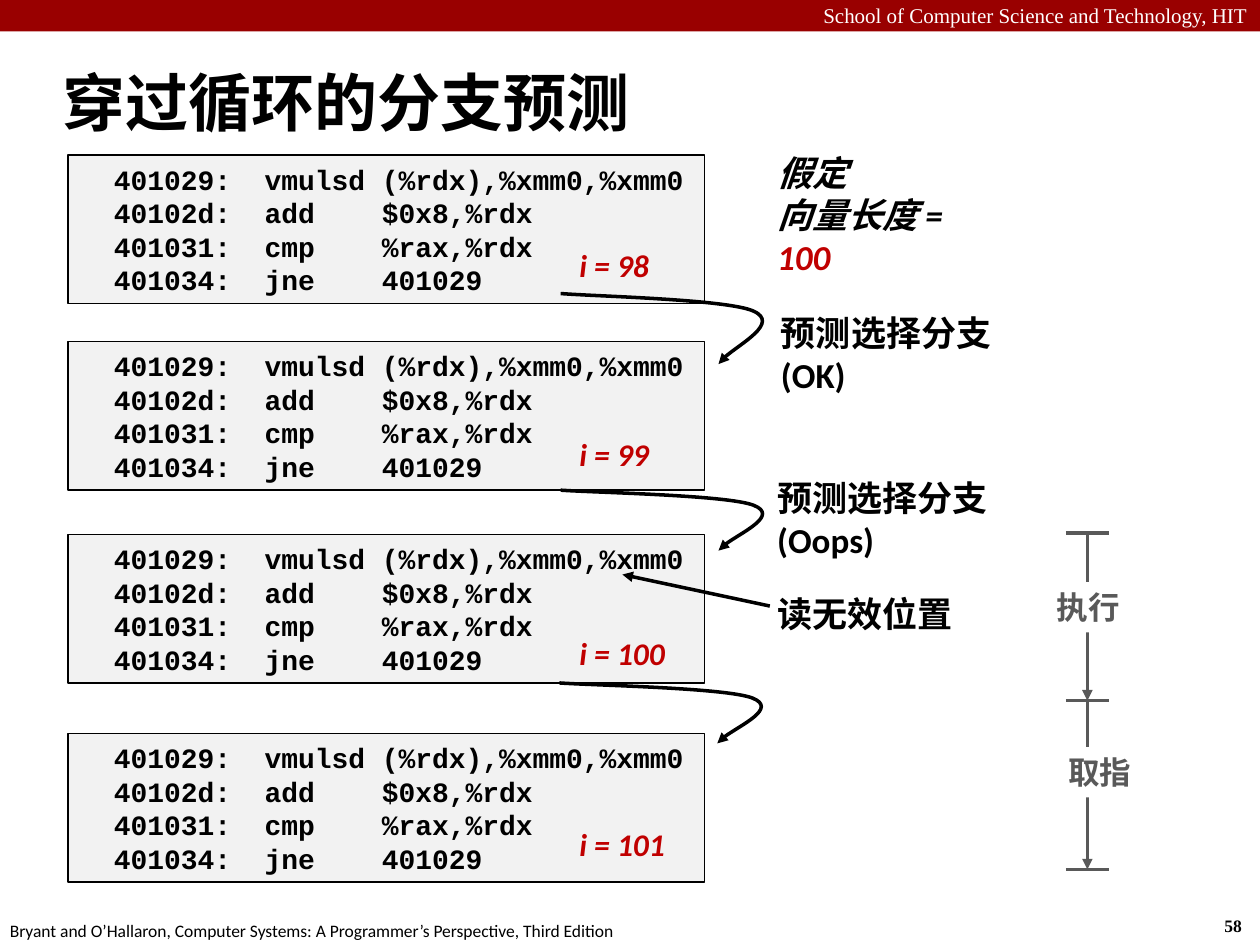
from lxml.etree import SubElement as Sub
from pptx import Presentation
from pptx.dml.color import RGBColor as RGB
from pptx.enum.shapes import MSO_CONNECTOR as CONN, MSO_SHAPE as SHAPE
from pptx.enum.text import MSO_ANCHOR as ANCHOR, PP_ALIGN as ALIGN
from pptx.oxml.ns import qn
from pptx.util import Inches, Pt

BLACK, WHITE = RGB(0, 0, 0), RGB(255, 255, 255)
MAROON, RED = RGB(0x99, 0, 0), RGB(0xC0, 0, 0)
PALE, GREY = RGB(0xF2, 0xF2, 0xF2), RGB(0x59, 0x59, 0x59)
CELL = Inches(0.1)
COLS, ROWS = 100, 75
SANS, SERIF, MONO = "Calibri", "Times New Roman", "Courier New"

CODE = """  401029:  vmulsd (%rdx),%xmm0,%xmm0
  40102d:  add    $0x8,%rdx
  401031:  cmp    %rax,%rdx
  401034:  jne    401029"""
LOOPS = [(12.3, 19, "i = 98"), (27.1, 34, "i = 99"),
         (42.4, 49.8, "i = 100"), (58.2, 65, "i = 101")]
JUMPS = [(44.5, 23.3, 5.6), (44.5, 38.9, 4.8), (44.4, 54.2, 4.8)]
BEND = [(0, 0), (0.15, 0.04), (0.76, 0.08), (0.88, 0.25),
        (1, 0.42), (0.75, 0.83), (0.72, 1)]
BEND_W = 17.4
AXIS = 86.3
TICKS = (42.3, 55.6, 69)
STAGES = [(82.9, 46.2, "执行"), (83.8, 59.3, "取指")]


def grid(*cells):
    """Turn grid cells into lengths."""
    return [int(n * CELL) for n in cells]


def write(shape, text, size, color=BLACK, face=SANS, bold=True,
          slant=False, align=ALIGN.LEFT, wrap=False):
    """Fill a shape with evenly styled text and return its paragraphs."""
    frame = shape.text_frame
    frame.text, frame.word_wrap = text, wrap
    for para in frame.paragraphs:
        para.alignment = align
        font = para.font
        font.name, font.size, font.bold = face, Pt(size), bold
        font.italic, font.color.rgb = slant, color
    return frame.paragraphs


def label(slide, at, text, size, **style):
    """Add a text box."""
    box = slide.shapes.add_textbox(*grid(*at))
    write(box, text, size, **style)
    return box


def note(slide, at, text, **style):
    """Add a remark that wraps ahead of its right edge."""
    box = label(slide, at, text, 20, wrap=True, **style)
    box.text_frame.margin_right = Inches(0.4)
    return box


def block(slide, at, fill, edge=None):
    """Add a flat rectangle."""
    rect = slide.shapes.add_shape(SHAPE.RECTANGLE, *grid(*at))
    rect.shadow.inherit = False
    rect.fill.solid()
    rect.fill.fore_color.rgb = fill
    if edge is None:
        rect.line.fill.background()
    else:
        rect.line.color.rgb, rect.line.width = edge, Pt(0.75)
    return rect


def stroke(shape, color, head):
    """Style a line, with an arrowhead at its end if asked."""
    shape.line.color.rgb, shape.line.width = color, Pt(2)
    if head:
        Sub(shape.line._get_or_add_ln(), qn("a:tailEnd"), type="triangle")


def rule(slide, ends, color=GREY, head=False):
    """Add a straight line."""
    line = slide.shapes.add_connector(CONN.STRAIGHT, *grid(*ends))
    stroke(line, color, head)
    Sub(line._element.spPr, qn("a:effectLst"))


def jump(slide, left, top, high):
    """Add a curved arrow from one loop pass to the next."""
    start, *rest = [tuple(grid(left + x * BEND_W, top + y * high))
                    for x, y in BEND]
    draft = slide.shapes.build_freeform(*start)
    draft.add_line_segments(rest, close=False)
    curve = draft.convert_to_shape()
    curve.shadow.inherit = False
    curve.fill.background()
    stroke(curve, BLACK, True)
    track = next(curve._element.iter(qn("a:path")))
    legs = track.findall(qn("a:lnTo"))
    for first in range(0, len(legs), 3):
        bow = Sub(track, qn("a:cubicBezTo"))
        for leg in legs[first:first + 3]:
            bow.append(leg[0])
            track.remove(leg)


def listing(slide, top, tag_top, tag):
    """Add one loop pass: its code and its counter."""
    rect = block(slide, (5.4, top, 50.5, 11.8), PALE, BLACK)
    for para in write(rect, CODE, 16, face=MONO):
        para.line_spacing = Pt(19.2)
    label(slide, (45, tag_top, 8.9, 4), tag, 18, color=RED, slant=True)


def stages(slide):
    """Add the axis of pipeline stages."""
    for top, end in zip(TICKS, TICKS[1:]):
        rule(slide, (AXIS, top, AXIS, end), head=True)
    for left, top, text in STAGES:
        write(block(slide, (left, top, 7.1, 4), WHITE), text, 18, color=GREY)
    for y in TICKS:
        rule(slide, (AXIS - 1.7, y, AXIS + 1.7, y))


def trim(slide):
    """Add the banner, the footer and the page number."""
    block(slide, (0, 0, COLS, 2.5), MAROON)
    label(slide, (0, -0.3, COLS, 3),
          "School of Computer Science and Technology, HIT", 12, color=WHITE,
          face=SERIF, bold=False, align=ALIGN.RIGHT, wrap=True)
    label(slide, (96.2, 72.1, 3.7, 2.7), "58", 10, face=SERIF)
    label(slide, (-0.2, 72.5, 50.8, 2.7),
          "Bryant and O’Hallaron, Computer Systems: "
          "A Programmer’s Perspective, Third Edition", 10, bold=False)


def main():
    """Build the slide and save it."""
    deck = Presentation()
    deck.slide_width, deck.slide_height = grid(COLS, ROWS)
    slide = deck.slides.add_slide(deck.slide_layouts[6])
    trim(slide)
    title = label(slide, (4, 4.9, 85.9, 6.3), "穿过循环的分支预测", 36, wrap=True)
    title.text_frame.vertical_anchor = ANCHOR.MIDDLE
    for row in LOOPS:
        listing(slide, *row)
    for row in JUMPS:
        jump(slide, *row)
    given = note(slide, (60.7, 11.5, 20.2, 7.7), "假定\n向量长度 = ", slant=True)
    count = given.text_frame.paragraphs[1].add_run()
    count.text, count.font.color.rgb = "100", RED
    note(slide, (61, 24.2, 24, 4.4), "预测选择分支(OK)")
    note(slide, (60.7, 37.3, 26.6, 4.4), "预测选择分支(Oops)")
    label(slide, (60.7, 46.5, 18.4, 4.4), "读无效位置", 20, wrap=True)
    rule(slide, (61.1, 48.1, 49.4, 45.6), BLACK, True)
    stages(slide)
    deck.save("out.pptx")


if __name__ == "__main__":
    main()
